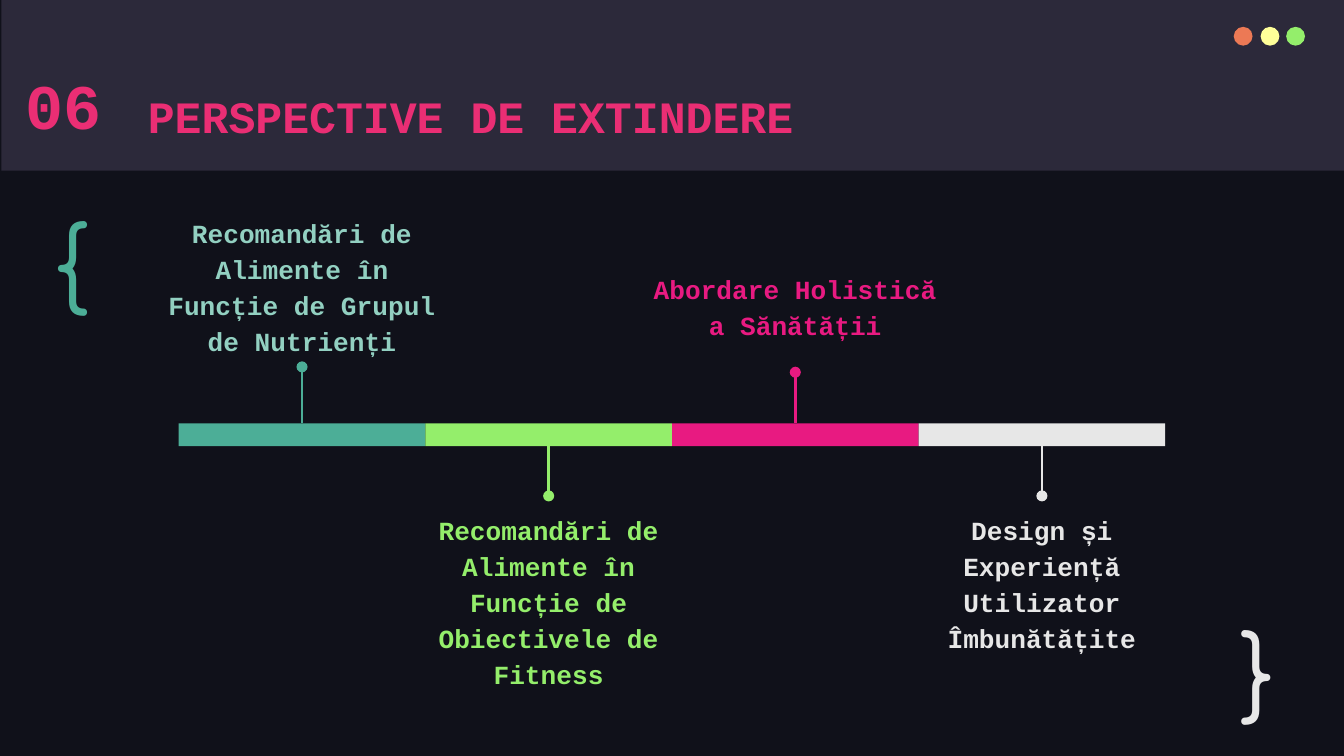
from lxml.etree import SubElement
from pptx import Presentation
from pptx.dml.color import RGBColor
from pptx.enum.shapes import MSO_CONNECTOR, MSO_SHAPE
from pptx.enum.text import MSO_ANCHOR, MSO_AUTO_SIZE, PP_ALIGN
from pptx.oxml.ns import qn
from pptx.util import Inches, Pt

# Content: label, bar colour, label colour, label top, y of the dot
TITLE, NUMBER = "PERSPECTIVE DE EXTINDERE", "06"
STEPS = [
    ("Recomandări de Alimente în Funcție de Grupul de Nutrienți",
     "teal", "mint", 1.48, 2.73),
    ("Recomandări de Alimente în Funcție de Obiectivele de Fitness",
     "green", "green", 3.69, 3.69),
    ("Abordare Holistică a Sănătății", "magenta", "magenta", 1.9, 2.77),
    ("Design și Experiență Utilizator Îmbunătățite",
     "light", "light", 3.69, 3.69),
]
BRACES = [
    ("{", "teal", (0.3, 1.4, 0.77, 0.95), MSO_ANCHOR.TOP),
    ("}", "light", (9.13, 4.54, 0.57, 0.83), MSO_ANCHOR.MIDDLE),
]
WINDOW_DOTS = [("orange", 9.18), ("yellow", 9.38), ("green", 9.57)]

THEME = {
    "colors": {
        "background": "10111A", "header": "2C293A", "title": "EA2E74",
        "teal": "4CAE97", "mint": "92D0C1", "green": "94EE6B",
        "magenta": "E81A81", "light": "E7E7E7", "orange": "EC7955",
        "yellow": "FFFF99",
    },
    "sizes": {"number": 34, "title": 24, "label": 14, "brace": 50},
    "code_font": "Courier New",
    "brace_font": "Comfortaa",
}

# Timeline geometry in inches
BAR_LEFT, BAR_TOP, BAR_HEIGHT = 1.33, 3.15, 0.17
BAR_WIDTH = 7.34 / len(STEPS)
LABEL_WIDTH, LABEL_HEIGHT = 2.34, 0.87


def color(name):
    return RGBColor.from_string(THEME["colors"][name])


def set_values(target, values):
    for name, value in values.items():
        setattr(target, name, value)


def add_block(page, kind, box, fill):
    block = page.shapes.add_shape(kind, *map(Inches, box))
    block.shadow.inherit = False
    block.fill.solid()
    block.fill.fore_color.rgb = color(fill)
    block.line.fill.background()


def add_stem(page, start, end, tone):
    stem = page.shapes.add_connector(
        MSO_CONNECTOR.STRAIGHT, *map(Inches, start + end))
    stem.line.width = Pt(1.5)
    stem.line.color.rgb = color(tone)
    SubElement(stem.line._get_or_add_ln(), qn("a:tailEnd"), type="oval")
    SubElement(stem._element.spPr, qn("a:effectLst"))


def write(shape, text, box, size, tone, font="code_font", bold=True,
          align=PP_ALIGN.LEFT, spacing=1.0, anchor=MSO_ANCHOR.TOP,
          wrap=True, inset=0.1):
    set_values(shape, dict(zip(("left", "top", "width", "height"),
                               map(Inches, box))))
    set_values(shape.text_frame, {
        "auto_size": MSO_AUTO_SIZE.NONE, "word_wrap": wrap,
        "vertical_anchor": anchor,
        "margin_left": Inches(0.1), "margin_right": Inches(0.1),
        "margin_top": Inches(inset), "margin_bottom": Inches(inset),
    })
    para = shape.text_frame.paragraphs[0]
    set_values(para, {"alignment": align, "line_spacing": spacing})
    span = para.add_run()
    span.text = text
    set_values(span.font, {"name": THEME[font], "bold": bold,
                           "size": Pt(THEME["sizes"][size])})
    span.font.color.rgb = color(tone)


def add_text(page, text, box, *args, **formats):
    write(page.shapes.add_textbox(*map(Inches, box)), text, box,
          *args, **formats)


def main():
    # Widescreen page, 16:9
    deck = Presentation()
    deck.slide_width, deck.slide_height = Inches(10), Inches(10 * 9 / 16)
    page = deck.slides.add_slide(deck.slide_layouts[5])
    page.background.fill.solid()
    page.background.fill.fore_color.rgb = color("background")

    # Header band and window dots
    add_block(page, MSO_SHAPE.RECTANGLE, (0.01, 0, 10, 1.27), "header")
    for tone, left in WINDOW_DOTS:
        add_block(page, MSO_SHAPE.OVAL, (left, 0.2, 0.14, 0.14), tone)

    # Title, moved in front of the band, and section number
    title = page.shapes.title
    page.shapes._spTree.append(title._element)
    write(title, TITLE, (1, 0.55, 5.04, 0.57), "title", "title",
          spacing=1.15, wrap=False, inset=0.05)
    add_text(page, NUMBER, (0.09, 0.44, 0.77, 0.67), "number", "title",
             wrap=False, inset=0.05)

    # Timeline: bar, stem from the bar to its dot, label
    for index, (label, tone, label_tone, top, dot) in enumerate(STEPS):
        left = BAR_LEFT + index * BAR_WIDTH
        center = left + BAR_WIDTH / 2
        edge = BAR_TOP if dot < BAR_TOP else BAR_TOP + BAR_HEIGHT
        add_block(page, MSO_SHAPE.RECTANGLE,
                  (left, BAR_TOP, BAR_WIDTH, BAR_HEIGHT), tone)
        add_stem(page, (center, edge), (center, dot), tone)
        add_text(page, label,
                 (center - LABEL_WIDTH / 2, top, LABEL_WIDTH, LABEL_HEIGHT),
                 "label", label_tone, align=PP_ALIGN.CENTER, spacing=1.15)

    # Decorative braces
    for brace, tone, box, anchor in BRACES:
        add_text(page, brace, box, "brace", tone, font="brace_font",
                 bold=False, anchor=anchor)

    deck.save("out.pptx")


if __name__ == "__main__":
    main()
